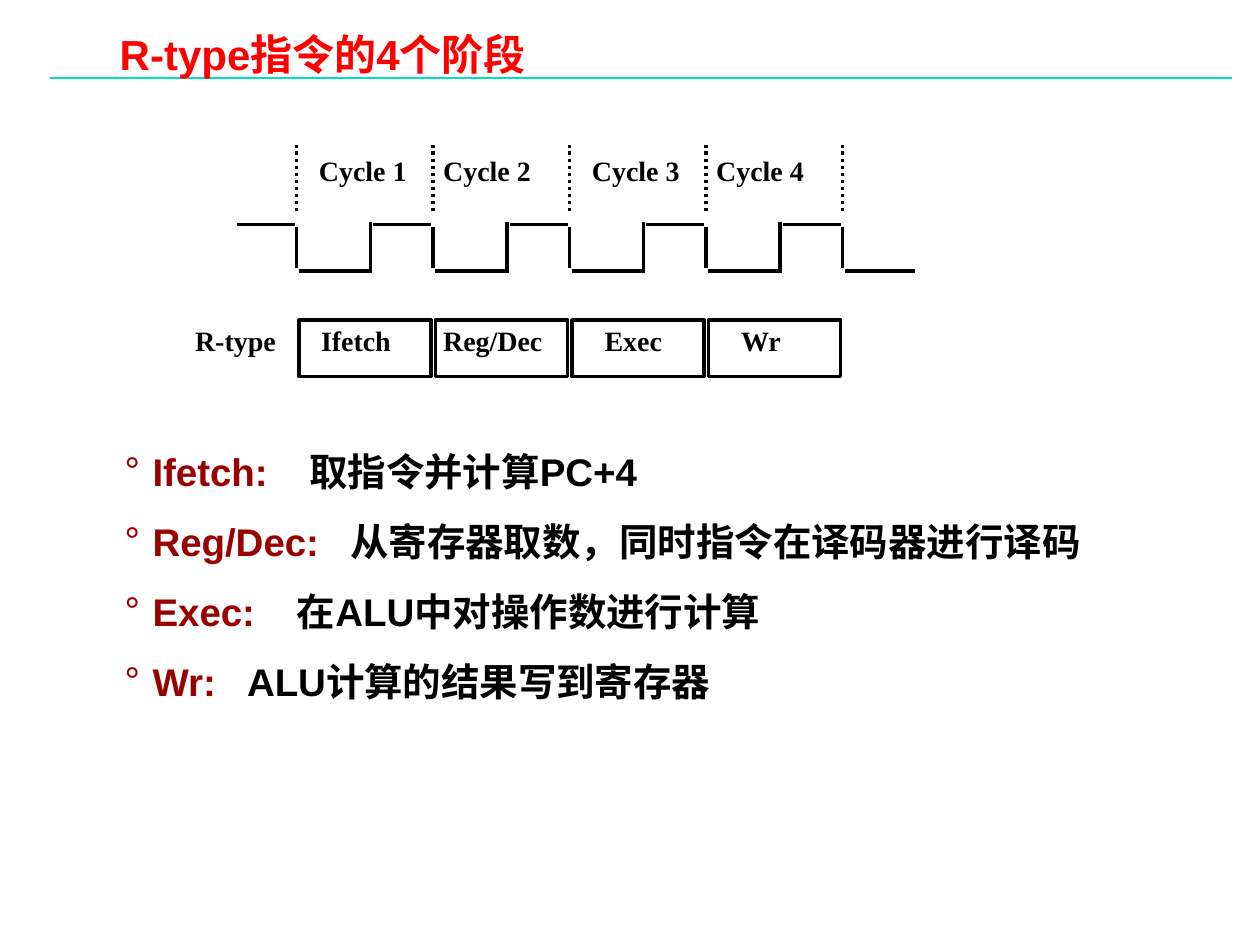
import pptx
import pptx.util
import pptx.dml.color
import pptx.enum.dml
import pptx.enum.shapes
import pptx.enum.text
import pptx.oxml.ns
import lxml.etree

Pt = pptx.util.Pt
RGBColor = pptx.dml.color.RGBColor
ANCHOR = pptx.enum.text.MSO_ANCHOR
AUTO_SIZE = pptx.enum.text.MSO_AUTO_SIZE
qn = pptx.oxml.ns.qn

BLACK = RGBColor(0x00, 0x00, 0x00)
RED = RGBColor(0xFF, 0x00, 0x00)
DARK_RED = RGBColor(0x99, 0x00, 0x00)
TEAL = RGBColor(0x00, 0xDF, 0xCA)

CYCLE_WIDTH = 78
# Label, its offset in the cycle, stage name, its offset and label width
CYCLES = [
    ("Cycle 1", 5.8, "Ifetch", 7, 56),
    ("Cycle 2", -1.2, "Reg/Dec", -1.2, 73),
    ("Cycle 3", 5.8, "Exec", 13, 49),
    ("Cycle 4", -1.2, "Wr", 13, 40),
]
# Term, explanation, tab position of the explanation
STAGES = [
    ("Ifetch:", "取指令并计算PC+4", 105.5),
    ("Reg/Dec:", "从寄存器取数，同时指令在译码器进行译码", 129),
    ("Exec:", "在ALU中对操作数进行计算", 98.5),
    ("Wr:", "ALU计算的结果写到寄存器", 70),
]


def set_font(font, name, size, color):
    font.name = name
    font.size = Pt(size)
    font.bold = True
    font.color.rgb = color


def set_margins(frame, side, end):
    frame.margin_left = frame.margin_right = Pt(side)
    frame.margin_top = frame.margin_bottom = Pt(end)


def add_line(page, x1, y1, x2, y2, color=BLACK, width=2, dotted=False):
    line = page.shapes.add_connector(
        pptx.enum.shapes.MSO_CONNECTOR.STRAIGHT, Pt(x1), Pt(y1), Pt(x2), Pt(y2))
    line.line.color.rgb = color
    line.line.width = Pt(width)
    if dotted:
        line.line.dash_style = pptx.enum.dml.MSO_LINE.ROUND_DOT
    lxml.etree.SubElement(line._element.spPr, qn("a:effectLst"))
    return line


def add_label(page, text, left, top, width):
    box = page.shapes.add_textbox(Pt(left), Pt(top), Pt(width), Pt(26))
    frame = box.text_frame
    set_margins(frame, 7.2, 3.6)
    frame.word_wrap = False
    frame.auto_size = AUTO_SIZE.SHAPE_TO_FIT_TEXT
    para = frame.paragraphs[0]
    para.text = text
    set_font(para.font, "Times New Roman", 16, BLACK)


def add_heading(page, left, top, width, height):
    title = page.shapes.title
    title.left, title.top = Pt(left), Pt(top)
    title.width, title.height = Pt(width), Pt(height)
    frame = title.text_frame
    set_margins(frame, 5, 2.2)
    frame.vertical_anchor = ANCHOR.TOP
    frame.auto_size = AUTO_SIZE.SHAPE_TO_FIT_TEXT
    para = frame.paragraphs[0]
    para.text = "R-type指令的4个阶段"
    para.alignment = pptx.enum.text.PP_ALIGN.LEFT
    para.line_spacing = 0.87
    set_font(para.font, "Arial", 24, RED)
    # Rule behind the title
    rule = add_line(page, 28.8, 44.5, 704.2, 44.5, TEAL, 1)
    title._element.addprevious(rule._element)


def add_timing_diagram(page, left, top):
    first_edge = left + 65
    high, low = top + 45.4, top + 72
    edges = [first_edge + CYCLE_WIDTH * i for i in range(len(CYCLES) + 1)]

    # Clock wave: high level before each edge, fall, low level after it
    for edge in edges:
        add_line(page, edge, top + 38, edge, top, dotted=True)
        add_line(page, edge - 34.2, high, edge - 1, high)
        add_line(page, edge, high + 1.4, edge, low - 1.4)
        add_line(page, edge + 1.4, low, edge + 41.6, low)
    for edge in edges[:-1]:
        add_line(page, edge + 42.4, low + 1.4, edge + 42.4, high - 1.4)

    # Cycle labels and stage boxes
    for edge, (cycle, cycle_shift, stage, stage_shift, width) in zip(edges, CYCLES):
        add_label(page, cycle, edge + cycle_shift, top + 1.6, 66)
        box = page.shapes.add_shape(
            pptx.enum.shapes.MSO_SHAPE.RECTANGLE,
            Pt(edge + 1.4), Pt(top + 100), Pt(75.6), Pt(32.4))
        box.shadow.inherit = False
        box.fill.background()
        box.line.color.rgb = BLACK
        box.line.width = Pt(2)
        add_label(page, stage, edge + stage_shift, top + 98.6, width)
    add_label(page, "R-type", left, top + 98.6, 62)


def add_bullet(para, tab):
    properties = para._p.get_or_add_pPr()
    properties.set("marL", str(Pt(16)))
    properties.set("indent", str(-Pt(16)))
    color = lxml.etree.SubElement(properties, qn("a:buClr"))
    lxml.etree.SubElement(color, qn("a:srgbClr"), val=str(DARK_RED))
    lxml.etree.SubElement(properties, qn("a:buFont"), typeface="Arial")
    lxml.etree.SubElement(properties, qn("a:buChar"), char="°")
    tabs = lxml.etree.SubElement(properties, qn("a:tabLst"))
    lxml.etree.SubElement(tabs, qn("a:tab"), pos=str(Pt(tab)), algn="l")


def add_stage_list(page, left, top, width, height):
    box = page.shapes.add_textbox(Pt(left), Pt(top), Pt(width), Pt(height))
    frame = box.text_frame
    frame.word_wrap = True
    set_margins(frame, 5, 2.2)
    for index, (term, explanation, tab) in enumerate(STAGES):
        para = frame.add_paragraph() if index else frame.paragraphs[0]
        add_bullet(para, tab)
        para.line_spacing = 1.2
        para.space_before = Pt(8.2 if index else 0)
        for text, color in ((term + "\t", DARK_RED), (explanation, BLACK)):
            span = para.add_run()
            span.text = text
            set_font(span.font, "Arial", 22, color)


def main():
    deck = pptx.Presentation()
    deck.slide_width, deck.slide_height = Pt(720), Pt(540)
    page = deck.slides.add_slide(deck.slide_layouts[5])
    add_heading(page, 63.4, 18, 421, 28.8)
    add_stage_list(page, 66.2, 248.8, 564, 155.5)
    add_timing_diagram(page, 104.4, 82.8)
    deck.save("out.pptx")


if __name__ == "__main__":
    main()
